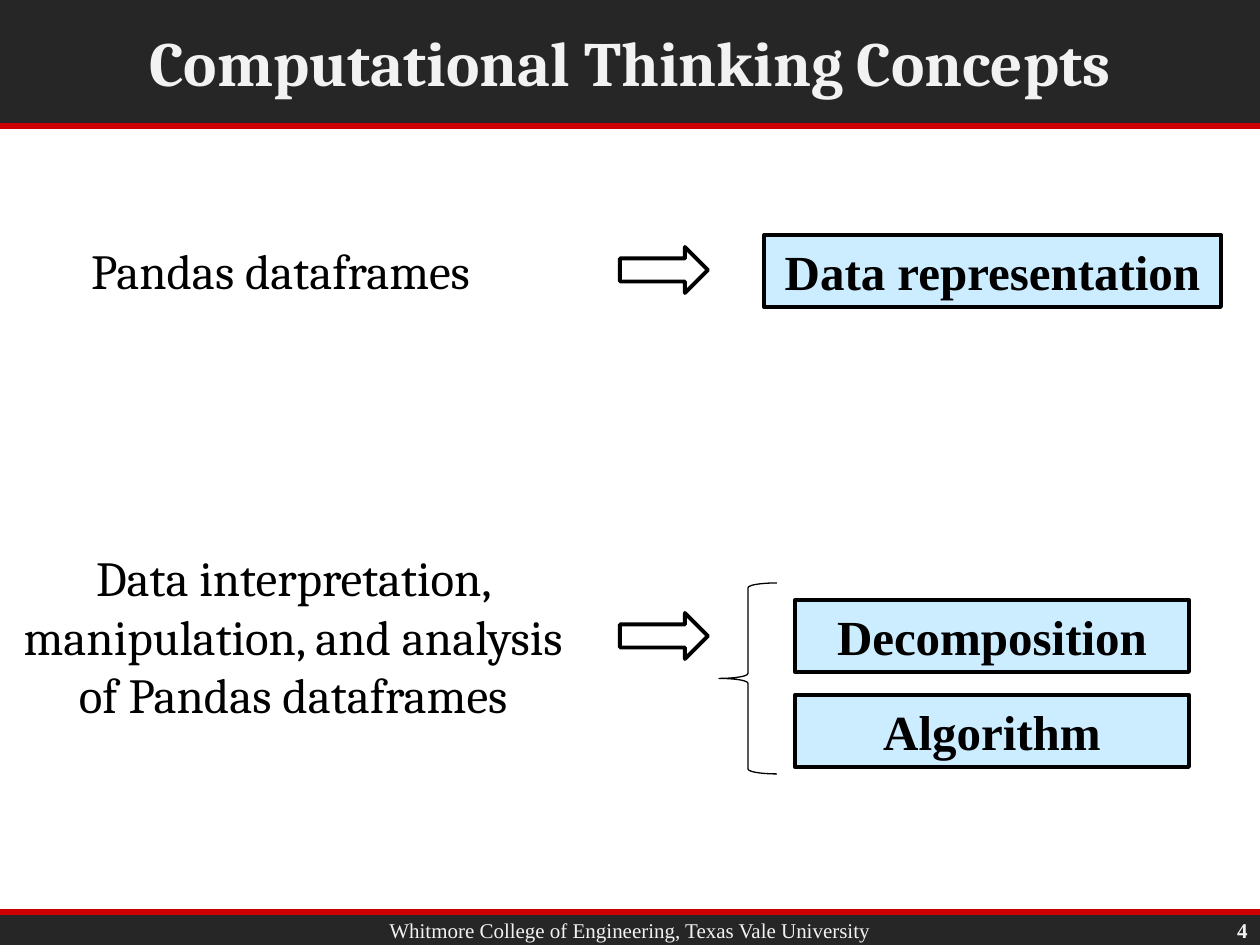
from pptx import Presentation
from pptx.dml.color import RGBColor
from pptx.enum.shapes import MSO_CONNECTOR, MSO_SHAPE
from pptx.enum.text import MSO_ANCHOR, PP_ALIGN
from pptx.oxml.ns import qn
from pptx.util import Pt
from lxml import etree

PIXEL = 914400 // 126
DARK = RGBColor(0x26, 0x26, 0x26)
RED = RGBColor(0xCC, 0x00, 0x00)
PALE = RGBColor(0xF2, 0xF2, 0xF2)
BLUE = RGBColor(0xCC, 0xEC, 0xFF)
BLACK = RGBColor(0, 0, 0)
SERIF = "Times New Roman"
HEADING = "Cambria"


def write(shape, text, size, font, color, bold=False, align=PP_ALIGN.CENTER, anchor=MSO_ANCHOR.MIDDLE):
    frame = shape.text_frame
    frame.word_wrap = True
    frame.vertical_anchor = anchor
    paragraph = frame.paragraphs[0]
    paragraph.text = text
    paragraph.alignment = align
    paragraph.font.size = Pt(size)
    paragraph.font.name = font
    paragraph.font.bold = bold
    paragraph.font.color.rgb = color


def draw(kind, box, fill=None, line=None, width=2.25):
    shape = slide.shapes.add_shape(kind, *[value * PIXEL for value in box])
    shape.shadow.inherit = False
    if fill is None:
        shape.fill.background()
    else:
        shape.fill.solid()
        shape.fill.fore_color.rgb = fill
    if line is None:
        shape.line.fill.background()
    else:
        shape.line.color.rgb = line
        shape.line.width = Pt(width)
    return shape


presentation = Presentation()
presentation.slide_width = 1260 * PIXEL
presentation.slide_height = 945 * PIXEL
slide = presentation.slides.add_slide(presentation.slide_layouts[5])

for top, height, edge in [(912, 33, 912), (0, 126, 126)]:
    draw(MSO_SHAPE.RECTANGLE, (0, top, 1260, height), DARK)
    rule = slide.shapes.add_connector(MSO_CONNECTOR.STRAIGHT, 0, edge * PIXEL, 1260 * PIXEL, edge * PIXEL)
    rule.line.color.rgb = RED
    rule.line.width = Pt(3)
    etree.SubElement(rule._element.spPr, qn("a:effectLst"))

title = slide.shapes.title
title.left, title.top, title.width, title.height = [value * PIXEL for value in (127, 5, 1006, 112)]
write(title, "Computational Thinking Concepts", 36, HEADING, PALE, True)
slide.shapes._spTree.append(title._element)

for text, box, align, bold in [
    ("Whitmore College of Engineering, Texas Vale University", (127, 911, 1006, 38), PP_ALIGN.CENTER, False),
    ("4", (1169, 914, 91, 33), PP_ALIGN.RIGHT, True),
]:
    footer = slide.shapes.add_textbox(*[value * PIXEL for value in box])
    write(footer, text, 12, SERIF, PALE, bold, align)

for text, box in [
    ("Pandas dataframes", (40, 234, 481, 72)),
    ("Data interpretation, manipulation, and analysis of Pandas dataframes", (0, 541, 586, 190)),
]:
    topic = slide.shapes.add_textbox(*[value * PIXEL for value in box])
    write(topic, text, 28, HEADING, BLACK, anchor=MSO_ANCHOR.TOP)

for top in (247, 613):
    draw(MSO_SHAPE.RIGHT_ARROW, (620, top, 88, 46), line=BLACK)

for text, left, top, width in [
    ("Data representation", 764, 235, 457),
    ("Decomposition", 795, 600, 394),
    ("Algorithm", 795, 695, 394),
]:
    concept = draw(MSO_SHAPE.RECTANGLE, (left, top, width, 72), BLUE, BLACK)
    write(concept, text, 28, SERIF, BLACK, True, anchor=MSO_ANCHOR.TOP)

draw(MSO_SHAPE.LEFT_BRACE, (719, 583, 58, 191), line=BLACK, width=0.75)

presentation.save("out.pptx")
